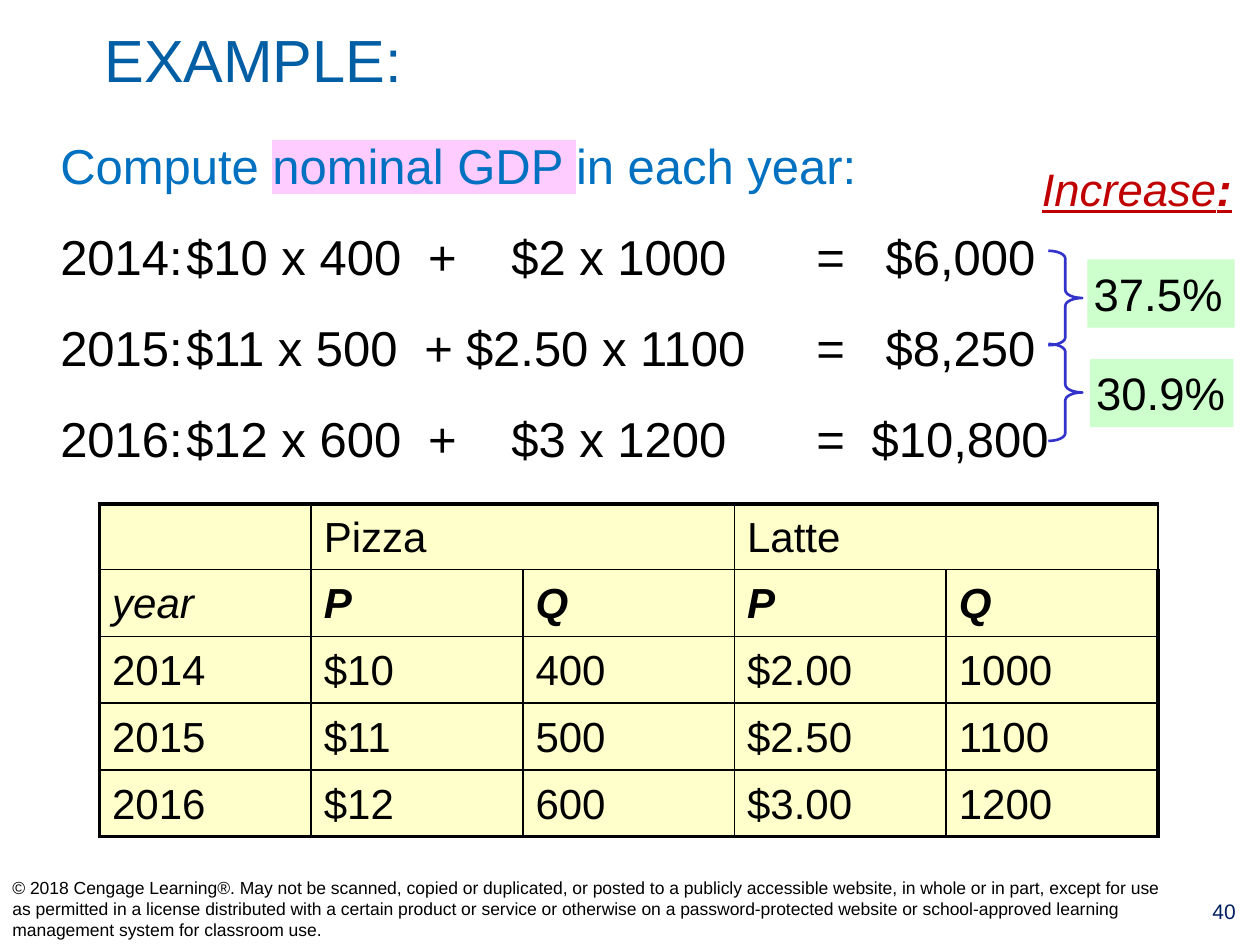
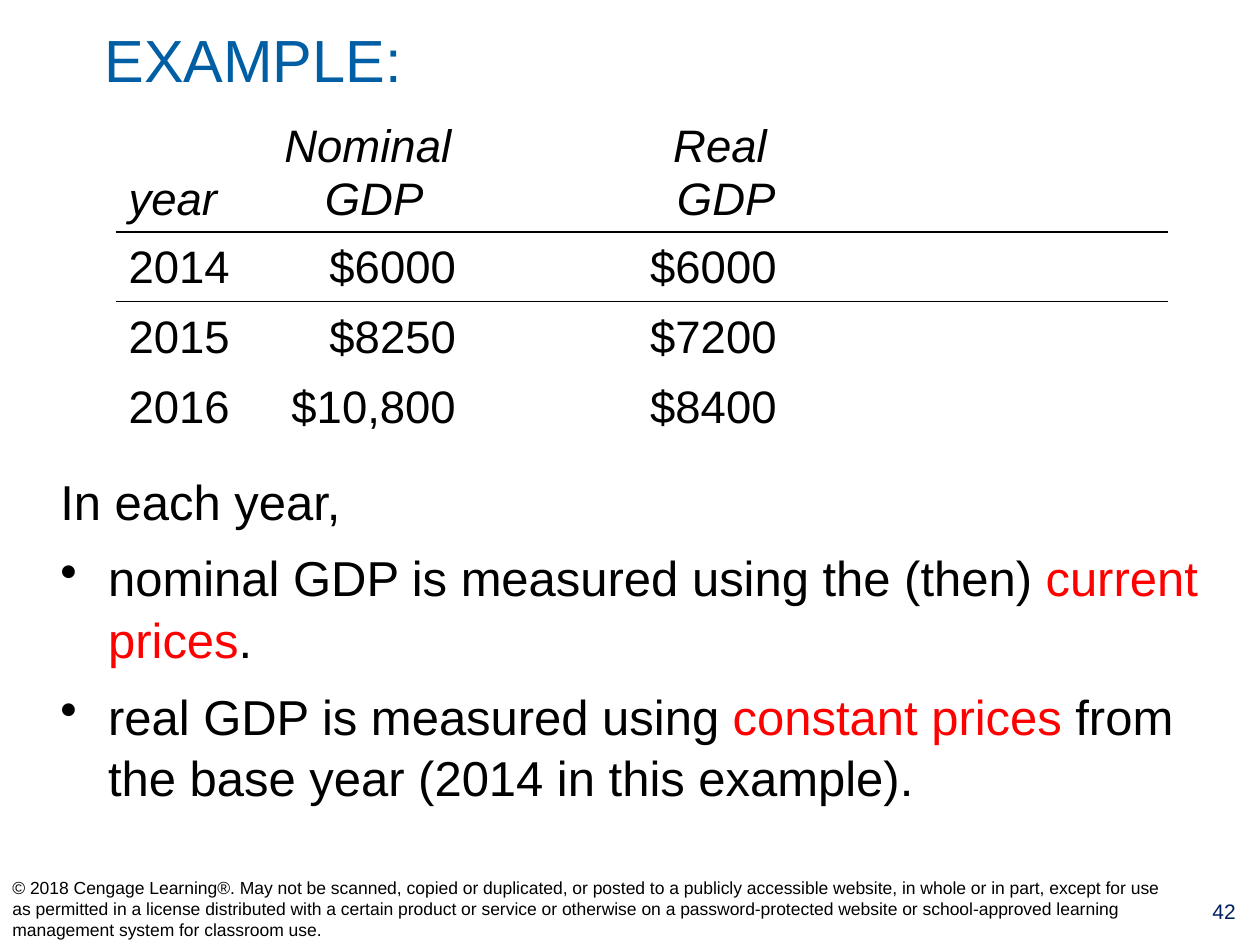
"""Build two slides that compare nominal and real GDP over three years."""
from lxml.etree import SubElement
from pptx import Presentation
from pptx.dml.color import RGBColor
from pptx.enum.shapes import MSO_SHAPE
from pptx.enum.text import MSO_ANCHOR, PP_ALIGN
from pptx.oxml.ns import qn
from pptx.util import Inches, Pt

HUES = {"title": "005EA4", "ask": "0070C0", "ink": "000000", "page": "002060",
        "mark": "FFCCFF", "cream": "FFFFCC", "mint": "CCFFCC",
        "brace": "3333CC", "rise": "C00000", "key": "FF0000"}
WIDE, HIGH = 10, 7.5
PLAIN = "{2D5ABB26-0587-4C30-8999-92F81FD0307C}"
LEFT, MID, RIGHT = PP_ALIGN.LEFT, PP_ALIGN.CENTER, PP_ALIGN.RIGHT
TITLE = "EXAMPLE:"
LEGAL = ("© 2018 Cengage Learning®. May not be scanned, copied or duplicated, or posted "
         "to a publicly accessible website, in whole or in part, except for use as permitted "
         "in a license distributed with a certain product or service or otherwise on a "
         "password-protected website or school-approved learning management system for "
         "classroom use.")

ASK = [("Compute ", {}), ("nominal GDP ", {"mark": "mark"}), ("in each year:", {})]
SUMS = [(("2014:", "$10 x 400", "+", "$2 x 1000", "=", "$6,000"), (1, 2.92, 3.58, 6, 6.55)),
        (("2015:", "$11 x 500", "+", "$2.50 x 1100", "=", "$8,250"), (1, 2.89, 3.22, 6, 6.55)),
        (("2016:", "$12 x 600", "+", "$3 x 1200", "=", "$10,800"), (1, 2.92, 3.58, 6, 6.44))]
RISES = [("37.5%", (8.63, 2.06, 1.17, 0.54), (8.32, 1.99, 0.27, 0.75)),
         ("30.9%", (8.65, 2.85, 1.14, 0.54), (8.32, 2.73, 0.27, 0.77))]
GOODS = [("", "Pizza", "", "Latte", ""),
         ("year", "P", "Q", "P", "Q"),
         ("2014", "$10", "400", "$2.00", "1000"),
         ("2015", "$11", "500", "$2.50", "1100"),
         ("2016", "$12", "600", "$3.00", "1200")]
TOTALS = [("year", "Nominal \vGDP", "", "Real \vGDP", ""),
          ("2014", "$6000", "", "$6000", ""),
          ("2015", "$8250", "", "$7200", ""),
          ("2016", "$10,800", "", "$8400", "")]
NOTES = [[("In each year,", {})],
         [("nominal GDP is measured using the (then) ", {}),
          ("current prices", {"hue": "key"}), (".", {})],
         [("real GDP is measured using ", {}), ("constant prices ", {"hue": "key"}),
          ("from the base year (2014 in this example).", {})]]


def rgb(hue):
    return RGBColor.from_string(HUES[hue])


def inches(box):
    return [Inches(n) for n in box]


def style(run, size, hue="ink", mark=None, **rest):
    for name, value in {"name": "Arial", "size": Pt(size), **rest}.items():
        setattr(run.font, name, value)
    run.font.color.rgb = rgb(hue)
    if mark:
        props = run.font._element
        glow = SubElement(props, qn("a:highlight"))
        SubElement(glow, qn("a:srgbClr"), val=HUES[mark])
        props.find(qn("a:solidFill")).addnext(glow)


def write(para, runs, size, align=LEFT, **base):
    para.alignment = align
    for text, more in runs:
        for num, part in enumerate(text.split("\v")):
            if num:
                para.add_line_break()
            run = para.add_run()
            run.text = part
            style(run, size, **{**base, **more})


def label(slide, box, runs, size, inset=None, **base):
    shape = slide.shapes.add_textbox(*inches(box))
    frame = shape.text_frame
    frame.word_wrap = True
    if inset:
        frame.margin_left = frame.margin_right = Inches(inset)
    write(frame.paragraphs[0], runs, size, **base)
    return shape


def start(deck, page):
    slide = deck.slides.add_slide(deck.slide_layouts[5])
    title = slide.shapes.title
    title.left, title.top, title.width, title.height = inches((0.73, 0.11, 8.53, 0.72))
    title.text_frame.vertical_anchor = MSO_ANCHOR.MIDDLE
    write(title.text_frame.paragraphs[0], [(TITLE, {})], 34, hue="title")
    label(slide, (9.43, 7.08, 0.57, 0.41), [(page, {})], 12, align=MID, hue="page")
    legal = label(slide, (0, 6.92, 9.41, 0.58), [(LEGAL, {})], 10)
    legal.text_frame.vertical_anchor = MSO_ANCHOR.MIDDLE
    return slide


def body(slide, box, paras, gap):
    frame = slide.shapes.add_textbox(*inches(box)).text_frame
    frame.word_wrap = True
    for num, (runs, hue, stops, hang, dot) in enumerate(paras):
        para = frame.add_paragraph() if num else frame.paragraphs[0]
        props = para._p.get_or_add_pPr()
        if hang:
            props.set("marL", str(Inches(hang)))
            props.set("indent", str(-Inches(hang)))
        if dot:
            SubElement(props, qn("a:buChar"), char="•")
        if stops:
            tabs = SubElement(props, qn("a:tabLst"))
            for stop in stops:
                SubElement(tabs, qn("a:tab"), pos=str(Inches(stop)), algn="l")
        para.line_spacing = 1.05
        para.space_before = Pt(gap if num else 0)
        write(para, runs, 28, hue=hue)


def edge(cell, sides):
    props = cell._tc.get_or_add_tcPr()
    for side in "LRTB":
        if side in sides:
            line = SubElement(props, qn("a:ln" + side), w=str(Pt(sides[side])))
            fill = SubElement(line, qn("a:solidFill"))
            SubElement(fill, qn("a:srgbClr"), val=HUES["ink"])


def grid(slide, spot, cols, rows, data, look):
    box = inches((*spot, sum(cols), sum(rows)))
    table = slide.shapes.add_table(len(rows), len(cols), *box).table
    table.first_row = table.horz_banding = False
    table._tbl.tblPr.find(qn("a:tableStyleId")).text = PLAIN
    for col, size in zip(table.columns, cols):
        col.width = Inches(size)
    for row, size in zip(table.rows, rows):
        row.height = Inches(size)
    for r, line in enumerate(data):
        for c, text in enumerate(line):
            cell = table.cell(r, c)
            sides, fill, anchor, inset, font = look(r, c)
            edge(cell, sides)
            if fill:
                cell.fill.solid()
                cell.fill.fore_color.rgb = rgb(fill)
            else:
                cell.fill.background()
            cell.vertical_anchor = anchor
            cell.margin_right = Inches(inset)
            if text:
                para = cell.text_frame.paragraphs[0]
                para.line_spacing = 1.05
                write(para, [(text, {})], **font)
    return table


def goods(r, c):
    last = len(GOODS) - 1
    sides = {"L": 1 if c else 2.25, "R": 2.25 if c == 4 else 1,
             "T": 1 if r else 2.25, "B": 2.25 if r == last else 1}
    font = {"size": 24, "italic": r == 1, "bold": r == 1 and c > 0}
    return sides, "cream", MSO_ANCHOR.MIDDLE, 0.1, font


def totals(r, c):
    sides = {0: {"B": 1}, 1: {"T": 1}}.get(r, {})
    anchor = MSO_ANCHOR.MIDDLE if r else MSO_ANCHOR.BOTTOM
    align = LEFT
    if c and not r:
        align = MID
    elif c == 1:
        align = RIGHT
    inset = 0.25 if r and c == 1 else 0.1
    return sides, None, anchor, inset, {"size": 26, "italic": r == 0, "align": align}


def nominal(deck):
    slide = start(deck, "40")
    paras = [(ASK, "ask", (), 0, False)]
    paras += [([("\t".join(parts), {})], "ink", stops, 0, False) for parts, stops in SUMS]
    body(slide, (0.38, 1, 9.32, 2.8), paras, 16.8)
    table = grid(slide, (0.79, 4), [1.68] * 5, [0.5] + [0.53] * 4, GOODS, goods)
    for c in (1, 3):
        table.cell(0, c).merge(table.cell(0, c + 1))
    label(slide, (8.17, 1.23, 1.71, 0.53), [("Increase", {}), (":", {"bold": True})], 26,
          hue="rise", italic=True, underline=True)
    for text, box, span in RISES:
        tag = label(slide, box, [(text, {})], 26, inset=0.05)
        tag.fill.solid()
        tag.fill.fore_color.rgb = rgb("mint")
        brace = slide.shapes.add_shape(MSO_SHAPE.RIGHT_BRACE, *inches(span))
        brace.shadow.inherit = False
        brace.fill.background()
        brace.line.color.rgb = rgb("brace")
        brace.line.width = Pt(1.5)
        brace.adjustments[0] = 0.23


def real(deck):
    slide = start(deck, "42")
    grid(slide, (0.92, 0.83), (1.15, 1.8, 1.19, 1.41, 2.8), [0.95] + [0.53] * 3,
         TOTALS, totals)
    paras = [(runs, "ink", (), 0.38, num > 0) for num, runs in enumerate(NOTES)]
    body(slide, (0.38, 3.67, 9.32, 3), paras, 8.4)


def main():
    deck = Presentation()
    deck.slide_width, deck.slide_height = inches((WIDE, HIGH))
    nominal(deck)
    real(deck)
    deck.save("out.pptx")


if __name__ == "__main__":
    main()
